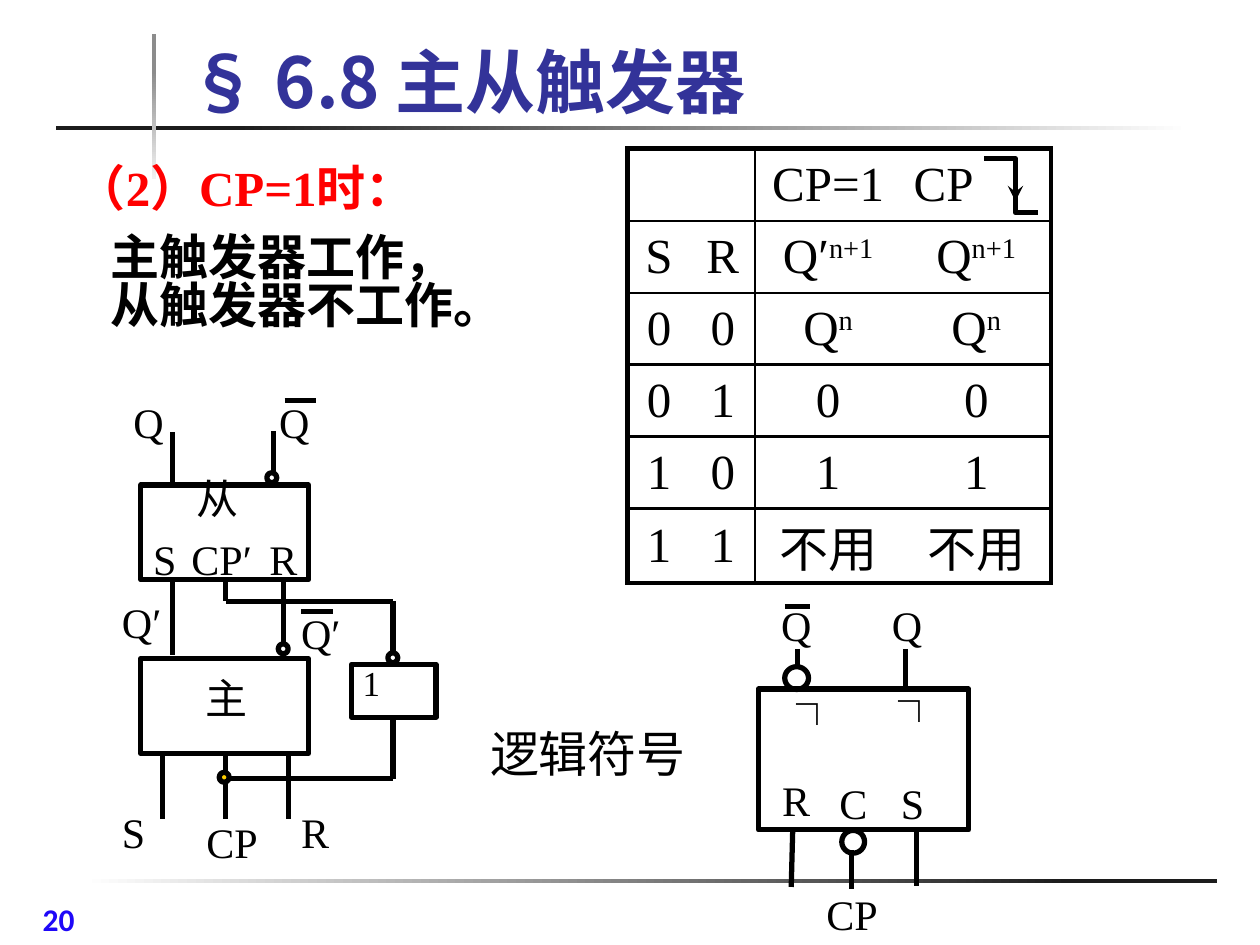
from lxml import etree
from pptx import Presentation
from pptx import util as u
from pptx.dml.color import RGBColor
from pptx.enum import shapes, text
from pptx.oxml.ns import qn


def hue(code):
    return RGBColor.from_string(code)


def inch(size):
    return u.Cm(round(size * 2.54, 2))


deck = Presentation()
deck.slide_width, deck.slide_height = inch(10), inch(7.5)
page = deck.slides.add_slide(deck.slide_layouts[6])
items = page.shapes
kind = shapes.MSO_SHAPE
cjk, roman = "Noto Sans CJK SC", "Times New Roman"

bars = [
    (0.66, 6.98, 9, 0.03, 0, (0, "FFFFFF"), (0.87, "1C1C1C")),
    (0.44, 1, 9, 0.03, 0, (0.16, "1C1C1C"), (1, "FFFFFF")),
    (1.21, 0.27, 0.03, 1.15, 90, (0, "F2F2F2"), (0.74, "8C8C8C")),
]
for x, y, w, h, turn, *stops in bars:
    bar = items.add_shape(kind.RECTANGLE, *map(inch, (x, y, w, h)))
    bar.shadow.inherit = False
    bar.line.fill.background()
    bar.fill.gradient()
    bar.fill.gradient_angle = turn
    for stop, (place, code) in zip(bar.fill.gradient_stops, stops):
        stop.position = place
        stop.color.rgb = hue(code)

rows = [
    ["", "", "CP=1", "CP"],
    ["S", "R", "Q′^n+1", "Q^n+1"],
    ["0", "0", "Q^n", "Q^n"],
    ["0", "1", "0", "0"],
    ["1", "0", "1", "1"],
    ["1", "1", "不用", "不用"],
]
wide = [0.5, 0.51, 1.16, 1.19]
high = [0.57] * 5 + [0.59]
grid = items.add_table(6, 4, *map(inch, (4.98, 1.18, sum(wide), sum(high)))).table
grid.first_row = grid.horz_banding = False
for col, w in zip(grid.columns, wide):
    col.width = inch(w)
for r, row in enumerate(rows):
    grid.rows[r].height = inch(high[r])
    for c, word in enumerate(row):
        cell = grid.cell(r, c)
        cell.margin_top = cell.margin_bottom = cell.margin_right = 0
        cell.margin_left = inch(0.1 if (r, c) == (0, 3) else 0)
        cell.vertical_anchor = text.MSO_ANCHOR.MIDDLE
        edges = {
            "L": (3, 0, 1.5, 0)[c],
            "R": (0, 1.5, 0, 3)[c],
            "T": 3 if r == 0 else 1.5,
            "B": 3 if r == 5 else 1.5,
        }
        prop = cell._tc.get_or_add_tcPr()
        for side, size in edges.items():
            edge = etree.SubElement(prop, qn("a:ln" + side), w=str(u.Pt(size)))
            if size:
                ink = etree.SubElement(edge, qn("a:solidFill"))
                etree.SubElement(ink, qn("a:srgbClr"), val="000000")
            else:
                etree.SubElement(edge, qn("a:noFill"))
        cell.fill.background()
        para = cell.text_frame.paragraphs[0]
        para.alignment = text.PP_ALIGN.LEFT if (r, c) == (0, 3) else text.PP_ALIGN.CENTER
        for n, part in enumerate(word.split("^") if word else []):
            run = para.add_run()
            run.text = part
            look = {"size": u.Pt(28), "name": cjk if part == "不用" else roman}
            for key, val in look.items():
                setattr(run.font, key, val)
            run.font.color.rgb = hue("000000")
            if n:
                run._r.get_or_add_rPr().set("baseline", "30000")

pen = items.build_freeform(inch(7.81), inch(1.26), scale=1.0)
pen.add_line_segments(
    [(inch(x), inch(y)) for x, y in [(8.06, 1.26), (8.06, 1.69), (8.24, 1.69)]], close=False
)
step = pen.convert_to_shape()
step.shadow.inherit = False
step.fill.background()
step.line.color.rgb = hue("000000")
step.line.width = u.Pt(3)

wires = [
    (3.12, 6.18, 1.79, 6.18), (1.37, 3.43, 1.37, 3.85), (2.17, 3.42, 2.17, 3.75),
    (2.26, 3.18, 2.51, 3.18), (1.79, 4.6, 1.79, 4.77), (1.29, 6, 1.29, 6.5),
    (2.29, 6, 2.29, 6.5), (2.25, 4.6, 2.25, 5.1), (1.37, 4.62, 1.37, 5.2),
    (3.12, 5.68, 3.12, 6.18), (1.79, 6, 1.79, 6.5), (3.12, 4.77, 3.12, 5.18),
    (1.79, 4.77, 3.12, 4.77), (2.39, 4.85, 2.64, 4.85), (7.27, 6.58, 7.27, 7.03),
    (6.29, 6.59, 6.28, 7.04), (6.23, 4.81, 6.43, 4.81), (6.76, 6.75, 6.76, 7.06),
    (6.33, 5.15, 6.33, 5.29), (7.19, 5.15, 7.19, 5.47), (8.06, 1.3, 8.06, 1.6),
]
for ends in wires:
    wire = items.add_connector(shapes.MSO_CONNECTOR.STRAIGHT, *map(inch, ends))
    wire.line.color.rgb = hue("000000")
    wire.line.width = u.Pt(3)
    etree.SubElement(wire._element.spPr, qn("a:effectLst"))
etree.SubElement(wire.line._get_or_add_ln(), qn("a:tailEnd"), type="stealth")

box, ring = kind.RECTANGLE, kind.OVAL
forms = [
    (box, 1.12, 3.85, 1.33, 0.75, None), (box, 1.12, 5.23, 1.33, 0.75, None),
    (box, 2.79, 5.27, 0.67, 0.42, None), (box, 6.02, 5.47, 1.67, 1.12, None),
    (ring, 2.12, 3.75, 0.08, 0.08, None), (ring, 2.21, 5.11, 0.08, 0.08, None),
    (ring, 3.08, 5.18, 0.08, 0.08, None), (ring, 1.74, 6.13, 0.08, 0.08, "FFCF01"),
    (ring, 6.23, 5.29, 0.19, 0.18, None), (ring, 6.68, 6.59, 0.18, 0.18, None),
]
for form, x, y, w, h, code in forms:
    part = items.add_shape(form, *map(inch, (x, y, w, h)))
    part.shadow.inherit = False
    part.line.color.rgb = hue("000000")
    part.line.width = u.Pt(3)
    if code:
        part.fill.solid()
        part.fill.fore_color.rgb = hue(code)
    else:
        part.fill.background()

sets = [
    (cjk, 40, True, "333399", 0.1, 0, [(1.4, 0.38, 7.61, 0.64, "§ 6.8 主从触发器")]),
    ("Calibri", 18, True, "1F08F8", 0.1, 0, [(0.24, 7.09, 0.99, 0.37, "20")]),
    (roman, 28, True, "FF0000", 0.1, 0, [(0.51, 1.2, 3.3, 0.57, "（2）CP=1时：")]),
    (cjk, 28, True, "000000", 0.1, 0,
     [(0.78, 1.83, 3.5, 1.04, "主触发器工作，\n从触发器不工作。")]),
    (cjk, 28, False, "000000", 0.1, 0, [(3.79, 5.77, 1.96, 0.57, "逻辑符号")]),
    (cjk, 24, False, "000000", 0.1, 0,
     [(1.46, 3.77, 0.54, 0.5, "从"), (1.53, 5.36, 0.54, 0.5, "主")]),
    (roman, 20, False, "000000", 0.1, 0, [(2.78, 5.2, 0.6, 0.43, "1")]),
    (roman, 24, False, "000000", 0.1, 0, [
        (0.96, 3.1, 0.46, 0.5, "Q"), (2.12, 3.1, 0.46, 0.5, "Q"),
        (1.12, 4.18, 0.39, 0.5, "S"), (2.04, 4.18, 0.44, 0.5, "R"),
        (1.42, 4.18, 0.8, 0.5, "CP′"), (0.87, 6.35, 0.39, 0.5, "S"),
        (2.29, 6.35, 0.44, 0.5, "R"), (1.54, 6.43, 0.63, 0.5, "CP"),
        (0.87, 4.68, 0.56, 0.5, "Q′"), (2.29, 4.77, 0.56, 0.5, "Q′")]),
    (roman, 24, False, "000000", 0, 0, [
        (7.08, 4.76, 0.24, 0.4, "Q"), (6.2, 4.76, 0.24, 0.4, "Q"),
        (7.15, 6.17, 0.19, 0.4, "S"), (6.21, 6.15, 0.22, 0.4, "R"),
        (6.66, 6.17, 0.22, 0.4, "C"), (6.56, 7.05, 0.42, 0.4, "CP")]),
    (cjk, 24, False, "000000", 0, 90,
     [(6.2, 5.45, 0.45, 0.4, "┌"), (7.06, 5.37, 0.34, 0.4, "┌")]),
]
for face, size, bold, code, gap, turn, notes in sets:
    look = {"name": face, "size": u.Pt(size), "bold": bold}
    for x, y, w, h, words in notes:
        note = items.add_textbox(*map(inch, (x, y, w, h)))
        note.rotation = turn
        frame = note.text_frame
        trim = {"margin_left": gap, "margin_right": gap,
                "margin_top": gap / 2, "margin_bottom": gap / 2}
        for key, val in trim.items():
            setattr(frame, key, inch(val))
        frame.word_wrap = True
        if size == 40:
            frame.vertical_anchor = text.MSO_ANCHOR.BOTTOM
        frame.text = words
        for para in frame.paragraphs:
            if face == cjk:
                para.line_spacing = 0.82
            for run in para.runs:
                for key, val in look.items():
                    setattr(run.font, key, val)
                run.font.color.rgb = hue(code)
                etree.SubElement(run._r.get_or_add_rPr(), qn("a:ea"), typeface=cjk)

deck.save("out.pptx")
